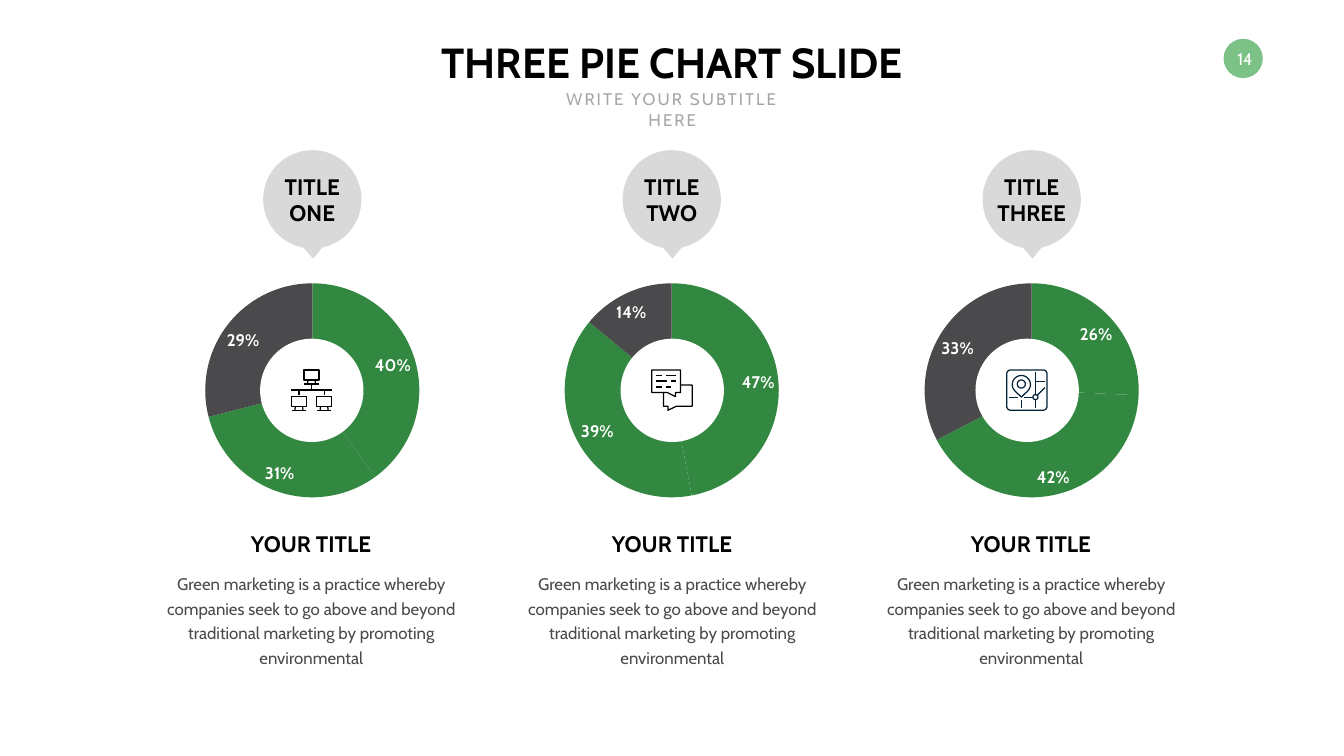
"""Build a slide with three ring charts, each with a callout, an icon and a caption."""
from math import cos, radians, sin

from lxml.etree import SubElement
from pptx import Presentation
from pptx.chart.data import CategoryChartData as Data
from pptx.dml.color import RGBColor
from pptx.enum.chart import XL_CHART_TYPE as Kind, XL_LABEL_POSITION as Spot
from pptx.enum.shapes import MSO_SHAPE as Form
from pptx.enum.text import MSO_ANCHOR as Anchor, PP_ALIGN as Align
from pptx.oxml.ns import qn
from pptx.util import Emu, Pt

PX = 9144
FONT = "Cabin"
INK = {"black": "000000", "white": "FFFFFF", "green": "328840", "mint": "7CC287",
       "dark": "4A4A4C", "gray": "A6A6A6", "pale": "D9D9D9", "navy": "022338"}

TITLE = "THREE PIE CHART SLIDE"
SUB = "WRITE YOUR SUBTITLE HERE"
PAGE = "14"
HEAD = "YOUR TITLE"
BODY = ("Green marketing is a practice whereby companies seek to go above and beyond "
        "traditional marketing by promoting environmental")
SLICES = ["green", "green", "dark"]


def arc(x, y, r, start=0, end=360):
    return [(x + r * cos(radians(a)), y + r * sin(radians(a)))
            for a in range(start, end + 1, 15)]


def screen(x, y):
    return [[(x, y), (x + 30, y), (x + 30, y + 20), (x, y + 20), (x, y)],
            [(x + 8, y + 20), (x + 7, y + 28)],
            [(x + 22, y + 20), (x + 23, y + 28)],
            [(x + 1, y + 28), (x + 29, y + 28)]]


def frame(low, high, r):
    a, b = low + r, high - r
    path = (arc(a, a, r, 180, 270) + arc(b, a, r, 270, 360)
            + arc(b, b, r, 0, 90) + arc(a, b, r, 90, 180))
    return path + path[:1]


NET = [*screen(26, 1), *screen(1, 53), *screen(51, 53),
       [(1, 41), (82, 41)], [(41, 31), (41, 41)],
       [(16, 41), (16, 50)], [(66, 41), (66, 50)]]
CHAT = [[(1, 1), (58, 1), (58, 46), (48, 46), (48, 54), (32, 46), (1, 46), (1, 1)],
        [(58, 31), (81, 31), (81, 73), (50, 73), (33, 81), (33, 73), (24, 73), (24, 46)],
        *[[(a, y), (b, y)] for a, b, y in [
            (10, 22, 12), (30, 49, 12), (10, 31, 23),
            (39, 49, 23), (10, 22, 35), (30, 40, 35)]]]
PIN = arc(30, 30, 18, 135, 405) + [(30, 55)]
MAP = [frame(1, 81, 8), PIN + PIN[:1], arc(30, 29, 8), arc(58, 55, 5),
       [(30, 60), (30, 77)], [(6, 55), (23, 55)], [(36, 55), (53, 55)],
       [(58, 6), (58, 50)], [(58, 24), (77, 24)], [(62, 51), (77, 36)],
       [(58, 60), (58, 77)]]

COLS = [
    {"name": ["TITLE", "ONE"], "vals": [40, 31, 29], "pie": 405, "hole": 516,
     "text": 303, "icon": NET, "ink": "black"},
    {"name": ["TITLE", "TWO"], "vals": [47, 39, 14], "pie": 1118, "hole": 1231,
     "text": 1019, "icon": CHAT, "ink": "black"},
    {"name": ["TITLE", "THREE"], "vals": [26, 42, 33], "pie": 1832, "hole": 1935,
     "text": 1731, "icon": MAP, "ink": "navy"},
]


def tint(name):
    return RGBColor.from_string(INK[name])


def box(*px):
    return [Emu(n * PX) for n in px]


def paint(fill, name):
    fill.solid()
    fill.fore_color.rgb = tint(name)


def blob(shapes, form, place, ink):
    shape = shapes.add_shape(form, *box(*place))
    shape.shadow.inherit = False
    paint(shape.fill, ink)
    shape.line.fill.background()
    return shape


def write(shapes, place, lines, size, ink, bold=False, wrap=False,
          anchor=Anchor.TOP, lead=None, gap=None, inset=None):
    frame = shapes.add_textbox(*box(*place)).text_frame
    frame.word_wrap = wrap
    frame.vertical_anchor = anchor
    if inset is not None:
        frame.margin_left = frame.margin_right = Emu(inset)
        frame.margin_top = frame.margin_bottom = Emu(inset)
    frame.text = "\n".join(lines)
    for para in frame.paragraphs:
        para.alignment = Align.CENTER
        if lead:
            para.line_spacing = Pt(lead)
        style(para.font, size, ink, bold)
        if gap:
            for run in para.runs:
                run.font._element.set("spc", str(gap * 100))


def style(font, size, ink, bold):
    font.name, font.size, font.bold = FONT, Pt(size), bold
    font.color.rgb = tint(ink)


def pie(shapes, place, vals):
    data = Data()
    data.categories = ["1", "2", "3"]
    data.add_series("Series 1", vals)
    chart = shapes.add_chart(Kind.PIE, *box(*place), data).chart
    chart.has_title = chart.has_legend = False
    style(chart.font, 24, "white", True)
    plot = chart.plots[0]
    plot.vary_by_categories = False
    series = plot.series[0]
    paint(series.format.fill, "navy")
    for i, ink in enumerate(SLICES):
        point = series.points[i].format
        paint(point.fill, ink)
        point.line.fill.background()
    tags = series.data_labels
    tags.show_percentage, tags.show_value = True, False
    tags.number_format, tags.number_format_is_linked = "#,##0%", False
    tags.position = Spot.BEST_FIT
    style(tags.font, 24, "white", True)
    inset(plot._element.getparent())


def inset(area):
    for old in area.findall(qn("c:layout")):
        area.remove(old)
    layout = SubElement(area, qn("c:layout"))
    area.insert(0, layout)
    manual = SubElement(layout, qn("c:manualLayout"))
    for tag, val in [("layoutTarget", "inner"), ("xMode", "edge"), ("yMode", "edge"),
                     ("x", "0.005"), ("y", "0.005"), ("w", "0.99"), ("h", "0.99")]:
        SubElement(manual, qn("c:" + tag)).set("val", val)


def draw(shapes, left, top, paths, ink):
    fine = [[(x * 10, y * 10) for x, y in path] for path in paths]
    pen = shapes.build_freeform(*fine[0][0], scale=PX / 10)
    for i, path in enumerate(fine):
        if i:
            pen.move_to(*path[0])
        pen.add_line_segments(path[1:], close=False)
    icon = pen.convert_to_shape(*box(left, top))
    icon.shadow.inherit = False
    icon.fill.background()
    icon.line.color.rgb = tint(ink)
    icon.line.width = Pt(1.75)


def main():
    deck = Presentation()
    deck.slide_width, deck.slide_height = box(2666, 1500)
    shapes = deck.slides.add_slide(deck.slide_layouts[6]).shapes

    blob(shapes, Form.OVAL, (2427, 77, 78, 78), "mint")
    write(shapes, (2435, 83, 69, 69), [PAGE], 24, "white", anchor=Anchor.MIDDLE, inset=0)
    write(shapes, (848, 67, 970, 111), [TITLE], 60, "black", bold=True)
    write(shapes, (1062, 172, 543, 50), [SUB], 24, "gray", wrap=True, gap=3)

    for col in COLS:
        left, hole, text = col["pie"], col["hole"], col["text"]
        pie(shapes, (left, 560, 429, 429), col["vals"])
        blob(shapes, Form.OVAL, (hole, 672, 205, 205), "white")
        tip = blob(shapes, Form.OVAL_CALLOUT, (left + 117, 298, 195, 195), "pale")
        tip.adjustments[0], tip.adjustments[1] = 0.008, 0.604
        write(shapes, (left + 136, 337, 157, 118), col["name"], 32, "black",
              bold=True, anchor=Anchor.MIDDLE)
        write(shapes, (text + 180, 1047, 268, 64), [HEAD], 32, "black",
              bold=True, anchor=Anchor.MIDDLE)
        write(shapes, (text, 1125, 629, 201), [BODY], 24, "dark", wrap=True, lead=35)
        draw(shapes, hole + 61, 733, col["icon"], col["ink"])

    deck.save("out.pptx")


if __name__ == "__main__":
    main()
